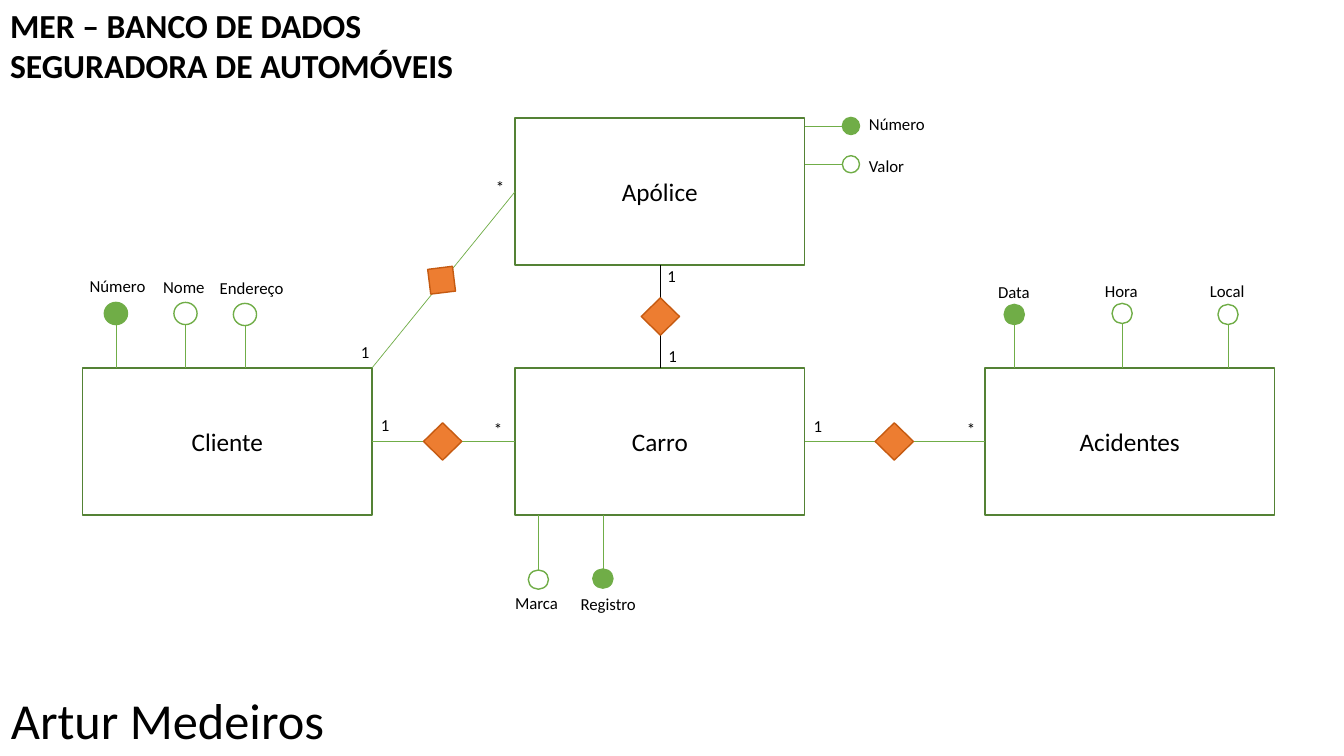
from pptx import Presentation
from pptx.dml.color import RGBColor
from pptx.enum.shapes import MSO_CONNECTOR, MSO_SHAPE
from pptx.enum.text import MSO_ANCHOR, PP_ALIGN
from pptx.oxml.ns import qn
from pptx.util import Inches, Pt

BLACK = RGBColor(0, 0, 0)
WHITE = RGBColor(255, 255, 255)
GREEN = RGBColor(0x70, 0xAD, 0x47)
DARK_GREEN = RGBColor(0x54, 0x82, 0x35)
ORANGE = RGBColor(0xED, 0x7D, 0x31)
DARK_ORANGE = RGBColor(0xC5, 0x5A, 0x11)

TITLE = "MER – BANCO DE DADOS SEGURADORA DE AUTOMÓVEIS"
AUTHOR = "Artur Medeiros "
COLS = (0.82, 5.11, 9.77)
ROWS = (1.17, 3.65)
BOX_W, BOX_H = 2.87, 1.46
LABEL_H = 0.3

ENTITIES = {"Carro": (1, 1), "Apólice": (1, 0), "Acidentes": (2, 1), "Cliente": (0, 1)}

# side, dot size, then (name, is key, dot centre, label left, top, width)
ATTRIBUTES = {
    "Acidentes": ("top", (0.2, 0.2), [
        ("Data", True, (10.06, 3.12), (9.8, 2.75, 0.61)),
        ("Hora", False, (11.13, 3.11), (10.86, 2.74, 0.68)),
        ("Local", False, (12.18, 3.12), (11.9, 2.74, 0.85))]),
    "Apólice": ("right", (0.17, 0.17), [
        ("Número", True, (8.44, 1.25), (8.52, 1.08, 0.77)),
        ("Valor", False, (8.44, 1.63), (8.52, 1.5, 0.67))]),
    "Cliente": ("top", (0.23, 0.22), [
        ("Número", True, (1.15, 3.11), (0.79, 2.69, 0.8)),
        ("Nome", False, (1.84, 3.11), (1.52, 2.7, 0.8)),
        ("Endereço", False, (2.43, 3.12), (2.08, 2.71, 1.09))]),
    "Carro": ("bottom", (0.2, 0.19), [
        ("Marca", False, (5.34, 5.75), (5.01, 5.83, 0.67)),
        ("Registro", True, (5.98, 5.74), (5.66, 5.84, 0.77))]),
}

RELATIONS = [
    ("Cliente", "right", "Carro", "left", GREEN, (4.39, 4.38), (0.38, 0.37), 0),
    ("Carro", "top", "Apólice", "bottom", BLACK, (6.55, 3.14), (0.38, 0.37), 0),
    ("Carro", "right", "Acidentes", "left", GREEN, (8.87, 4.38), (0.38, 0.37), 0),
    ("Cliente", "corner", "Apólice", "left", GREEN, (4.38, 2.78), (0.35, 0.35), 308),
]

CARDINALITIES = [
    ("1", 7.97, 4.08), ("1", 3.68, 4.07), ("*", 4.8, 4.11), ("*", 9.49, 4.11),
    ("1", 6.52, 2.59), ("*", 4.82, 1.7), ("1", 3.48, 3.34), ("1", 6.53, 3.38),
]


def anchor(entity, side):
    col, row = ENTITIES[entity]
    fx, fy = {"left": (0, 0.5), "right": (1, 0.5), "top": (0.5, 0),
              "bottom": (0.5, 1), "corner": (1, 0)}[side]
    return COLS[col] + fx * BOX_W, ROWS[row] + fy * BOX_H


def write(shape, text, size, bold=False):
    tf = shape.text_frame
    tf.word_wrap = True
    tf.text = text
    font = tf.paragraphs[0].runs[0].font
    font.name, font.size, font.bold = "Calibri", Pt(size), bold
    font.color.rgb = BLACK
    return tf


def add_text(text, x, y, w, h=LABEL_H, size=12):
    write(s.shapes.add_textbox(*map(Inches, (x, y, w, h))), text, size)


def add_node(kind, centre, size, fill, line):
    (cx, cy), (w, h) = centre, size
    sp = s.shapes.add_shape(kind, *map(Inches, (cx - w / 2, cy - h / 2, w, h)))
    sp.shadow.inherit = False
    sp.fill.solid()
    sp.fill.fore_color.rgb = fill
    sp.line.color.rgb = line
    sp.line.width = Pt(1)
    return sp


def add_line(start, end, color):
    cn = s.shapes.add_connector(MSO_CONNECTOR.STRAIGHT, *map(Inches, (*start, *end)))
    cn.line.color.rgb = color
    cn.line.width = Pt(0.5)
    sppr = cn._element.spPr
    sppr.append(sppr.makeelement(qn("a:effectLst"), {}))


prs = Presentation()
prs.slide_width, prs.slide_height = Inches(13.33), Inches(7.5)
s = prs.slides.add_slide(prs.slide_layouts[5])

title = s.shapes.title
title.left, title.top, title.width, title.height = map(Inches, (0, 0, 5.58, 0.91))
tf = write(title, TITLE, 24, True)
tf.vertical_anchor = MSO_ANCHOR.TOP
p = tf.paragraphs[0]
p.alignment = PP_ALIGN.LEFT
p.line_spacing = 1.0
p.space_before = Pt(0)

for name, (col, row) in ENTITIES.items():
    centre = COLS[col] + BOX_W / 2, ROWS[row] + BOX_H / 2
    box = add_node(MSO_SHAPE.RECTANGLE, centre, (BOX_W, BOX_H), WHITE, DARK_GREEN)
    tf = write(box, name, 18)
    tf.vertical_anchor = MSO_ANCHOR.MIDDLE
    tf.paragraphs[0].alignment = PP_ALIGN.CENTER

for entity, (side, size, items) in ATTRIBUTES.items():
    edge_x, edge_y = anchor(entity, side)
    for name, is_key, (cx, cy), label in items:
        end = (edge_x, cy) if side == "right" else (cx, edge_y)
        add_line((cx, cy), end, GREEN)
        add_node(MSO_SHAPE.OVAL, (cx, cy), size, GREEN if is_key else WHITE, GREEN)
        add_text(name, *label)

for a, side_a, b, side_b, color, centre, size, angle in RELATIONS:
    add_line(anchor(a, side_a), anchor(b, side_b), color)
    add_node(MSO_SHAPE.DIAMOND, centre, size, ORANGE, DARK_ORANGE).rotation = angle

for text, x, y in CARDINALITIES:
    add_text(text, x, y, 0.42)

add_text(AUTHOR, 0.01, 6.79, 3.55, 0.71, 36)

prs.save("out.pptx")
